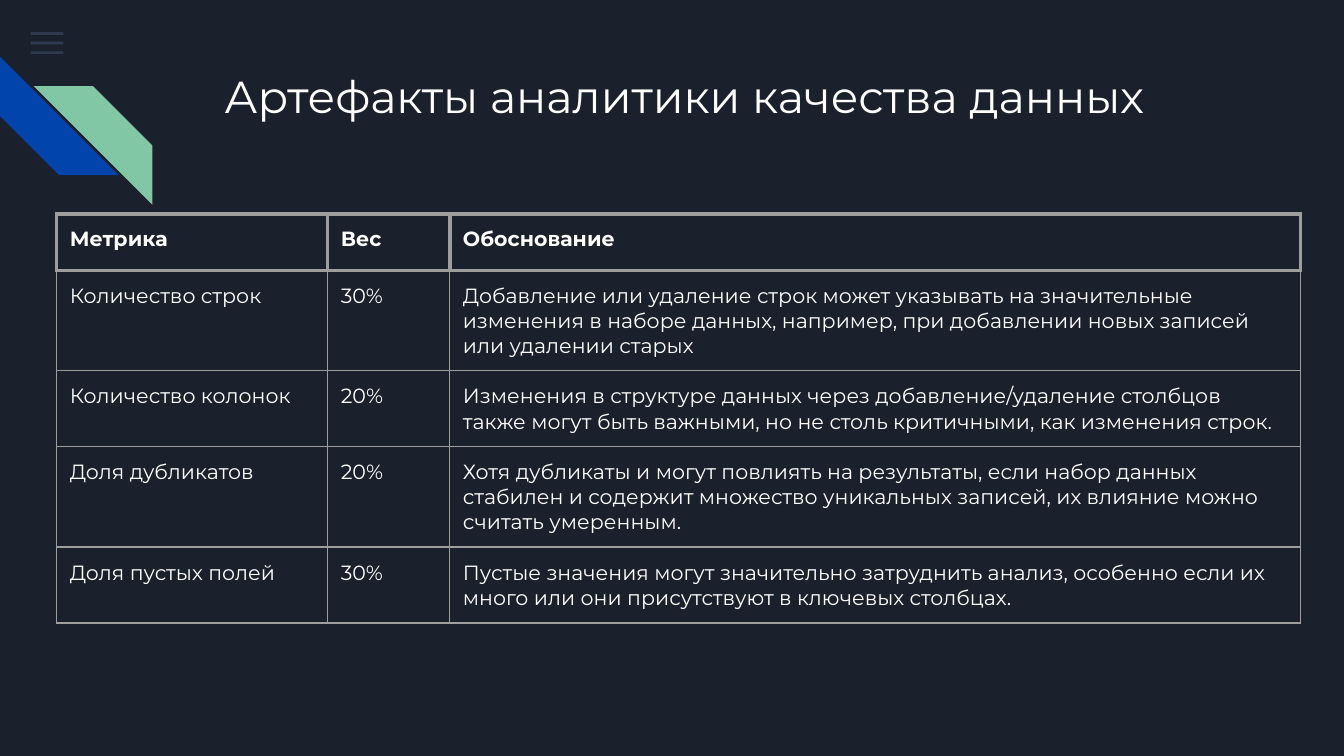
from lxml.etree import SubElement
from pptx import Presentation
from pptx.dml.color import RGBColor as RGB
from pptx.enum.shapes import MSO_SHAPE as Shape
from pptx.enum.text import MSO_ANCHOR as Anchor
from pptx.oxml.ns import qn
from pptx.util import Cm, Pt

COLORS = {
    "background": "1B212C",
    "text": "FFFFFF",
    "menu": "55688B",
    "blue": "0145AC",
    "green": "82C7A5",
    "border": "9E9E9E",
}
MARGINS = {f"margin_{side}": Cm(0.25) for side in ("left", "top", "right", "bottom")}
TITLE_FONT = {"name": "Montserrat", "size": Pt(24), "bold": False}
HEAD_FONT = {"name": "Montserrat", "size": Pt(11), "bold": True}
BODY_FONT = {**HEAD_FONT, "bold": False}
THIN, THICK = Pt(0.75), Pt(2.25)
COLUMNS = (5.12, 2.31, 16.08)
ROW_HEIGHT = 1.07
ROWS = [
    ("Метрика", "Вес", "Обоснование"),
    ("Количество строк", "30%",
     "Добавление или удаление строк может указывать на значительные изменения "
     "в наборе данных, например, при добавлении новых записей или удалении старых"),
    ("Количество колонок", "20%",
     "Изменения в структуре данных через добавление/удаление столбцов также "
     "могут быть важными, но не столь критичными, как изменения строк."),
    ("Доля дубликатов", "20%",
     "Хотя дубликаты и могут повлиять на результаты, если набор данных стабилен "
     "и содержит множество уникальных записей, их влияние можно считать умеренным."),
    ("Доля пустых полей", "30%",
     "Пустые значения могут значительно затруднить анализ, особенно если их много "
     "или они присутствуют в ключевых столбцах."),
]


def apply(target, values):
    for name, value in values.items():
        setattr(target, name, value)


def write(tf, text, font):
    r = tf.paragraphs[0].add_run()
    r.text = text
    apply(r.font, font)
    r.font.color.rgb = RGB.from_string(COLORS["text"])


def add_figure(s, kind, box, color):
    sp = s.shapes.add_shape(kind, *map(Cm, box))
    sp.shadow.inherit = False
    sp.fill.solid()
    sp.fill.fore_color.rgb = RGB.from_string(COLORS[color])
    sp.line.fill.background()
    return sp


def add_menu(s):
    for i in range(3):
        sp = add_figure(s, Shape.RECTANGLE, (0.58, 0.61 + 0.18 * i, 0.62, 0.05), "menu")
        clr = next(sp.fill._xPr.iter(qn("a:srgbClr")))
        SubElement(clr, qn("a:alpha"), val="36000")


def add_stripes(s):
    add_figure(s, Shape.DIAGONAL_STRIPE, (0, 1.07, 2.24, 2.24), "blue").rotation = 270
    sp = add_figure(s, Shape.DIAGONAL_STRIPE, (0.64, 1.63, 2.24, 2.24), "green")
    sp._element.spPr.find(qn("a:xfrm")).set("flipH", "1")


def add_title(s, text):
    tf = s.shapes.add_textbox(Cm(3.99), Cm(1.04), Cm(20.6), Cm(1.57)).text_frame
    apply(tf, {**MARGINS, "word_wrap": True, "vertical_anchor": Anchor.TOP})
    write(tf, text, TITLE_FONT)


def set_borders(cell, widths):
    tc_pr = cell._tc.get_or_add_tcPr()
    for side, width in widths.items():
        ln = SubElement(tc_pr, qn(f"a:ln{side}"), w=str(width))
        fill = SubElement(ln, qn("a:solidFill"))
        SubElement(fill, qn("a:srgbClr"), val=COLORS["border"])


def add_metrics_table(s):
    table = s.shapes.add_table(
        len(ROWS), len(COLUMNS), Cm(1.07), Cm(4.04),
        Cm(sum(COLUMNS)), Cm(ROW_HEIGHT * len(ROWS))).table
    apply(table, {"first_row": False, "horz_banding": False})
    for column, width in zip(table.columns, COLUMNS):
        column.width = Cm(width)
    for i, texts in enumerate(ROWS):
        table.rows[i].height = Cm(ROW_HEIGHT)
        widths = dict.fromkeys("LRTB", THIN if i else THICK)
        if i == 1:
            widths["T"] = THICK
        for j, text in enumerate(texts):
            cell = table.cell(i, j)
            apply(cell, {**MARGINS, "vertical_anchor": Anchor.TOP})
            set_borders(cell, widths)
            cell.fill.background()
            write(cell.text_frame, text, BODY_FONT if i else HEAD_FONT)


def main():
    prs = Presentation()
    apply(prs, {"slide_width": Cm(25.4), "slide_height": Cm(14.29)})
    s = prs.slides.add_slide(prs.slide_layouts[6])
    s.background.fill.solid()
    s.background.fill.fore_color.rgb = RGB.from_string(COLORS["background"])
    add_menu(s)
    add_stripes(s)
    add_title(s, "Артефакты аналитики качества данных")
    add_metrics_table(s)
    prs.save("out.pptx")


if __name__ == "__main__":
    main()
